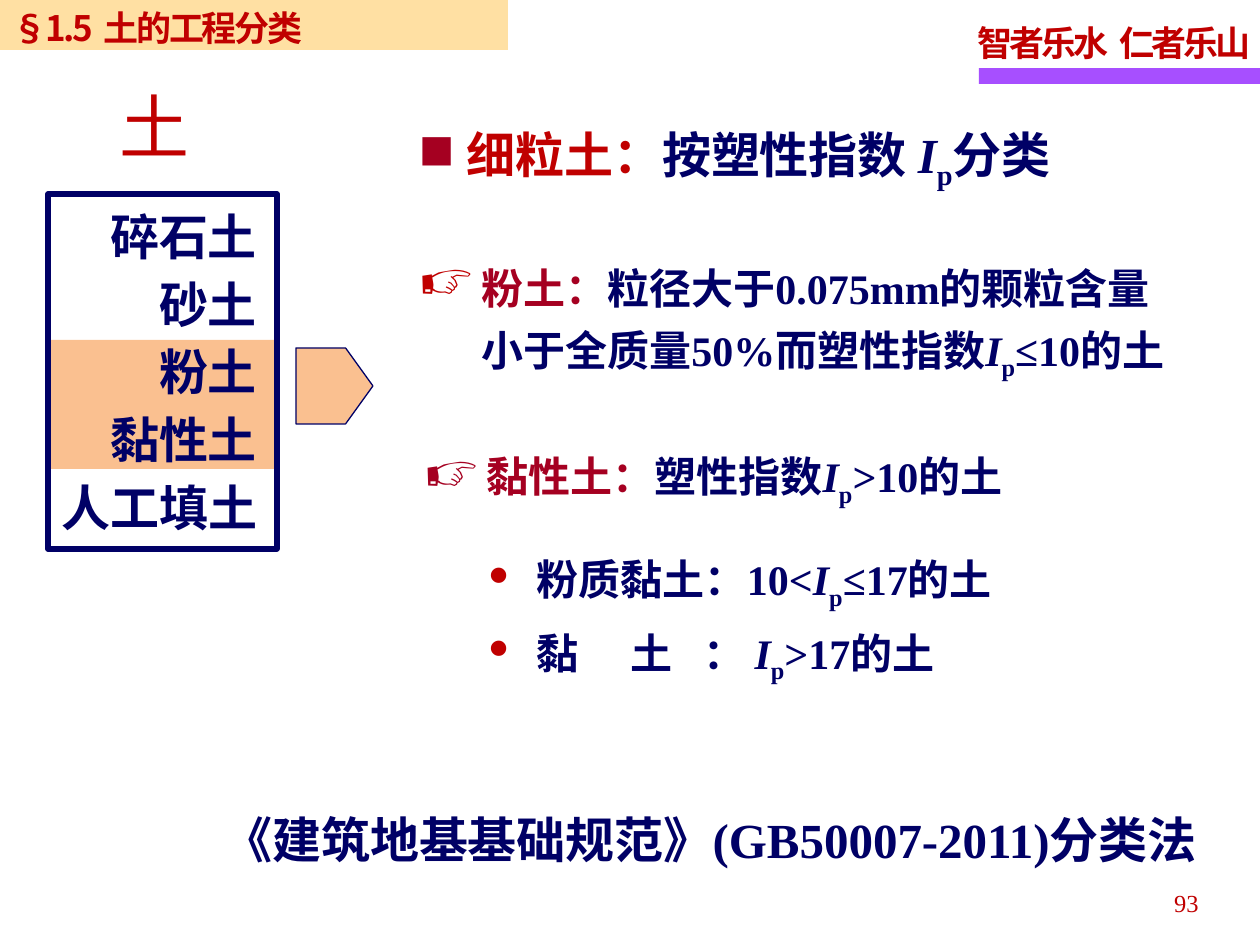
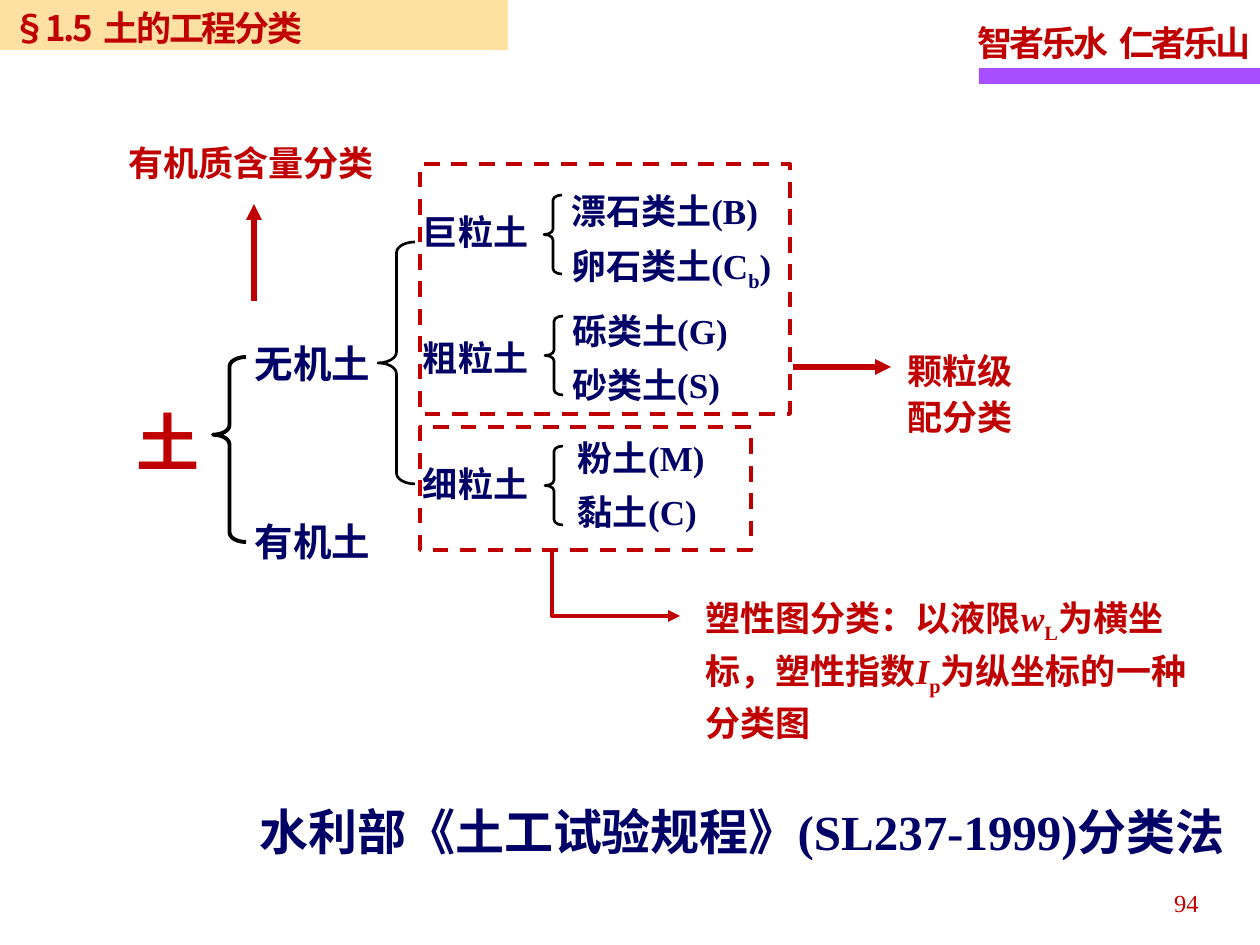
import pptx
import pptx.util
import pptx.dml.color
import pptx.enum.dml
import pptx.enum.shapes
import pptx.enum.text
import pptx.oxml
import pptx.oxml.ns

PX = pptx.util.Inches(1) / 126
RED, NAVY, CRIMSON = "C00000", "000066", "A50021"
PEACH, PURPLE, SAND, BLACK = "FAC090", "A74FFF", "FFCC66", "000000"
TIMES, NOTO, ARIAL = "Times New Roman", "Noto Sans CJK SC", "Arial"
SHAPES = pptx.enum.shapes.MSO_SHAPE
ALIGN = pptx.enum.text.PP_ALIGN

FIRST_PAGE = 93
INDEX_I = ("I", {"italic": True})
INDEX_P = ("p", {"baseline": -25000})

SECTION = [("§1.5", {"spc": -140}), (" ", {"spc": 170}),
           ("土的工程分类", {"spc": -140})]
MOTTO = [("智者乐水", {"spc": -170}), (" ", {"spc": 160}),
         ("仁者乐山", {"spc": -170})]

NATIONAL_CODE = {
    "caption": "《建筑地基基础规范》(GB50007-2011)分类法",
    "caption_at": (202, 803, 1016, 72),
    "soils": ["碎石土", "砂土", "粉土", "黏性土", "人工填土"],
    "fine": [("细粒土：", {"color": RED}), "按塑性指数 ", INDEX_I, INDEX_P, "分类"],
    "silt": [("粉土：", {"color": CRIMSON}),
             "粒径大于0.075mm的颗粒含量小于全质量50%而塑性指数",
             INDEX_I, INDEX_P, "≤10的土"],
    "clay": [("黏性土：", {"color": CRIMSON, "name": NOTO}), "塑性指数",
             INDEX_I, INDEX_P, ">10的土"],
    "clay_kinds": [
        ["粉质黏土：10<", INDEX_I, INDEX_P, "≤17的土"],
        [("黏 ", {"spc": 1200}), ("土 ", {"spc": 600}), "： ",
         INDEX_I, INDEX_P, ">17的土"],
    ],
}

WATER_CODE = {
    "caption": "水利部《土工试验规程》(SL237-1999)分类法",
    "caption_at": (241, 795, 1002, 72),
    "dashed": [(420, 427, 331, 123), (420, 164, 370, 250)],
    "origins": ["无机土", "有机土"],
    "grains": ["巨粒土", "粗粒土", "细粒土"],
    "kinds": [
        ((571, 181, 220, 106), ["漂石类土(B)",
                                ["卵石类土(C", ("b", {"baseline": -25000}), ")"]]),
        ((572, 301, 180, 106), ["砾类土(G)", "砂类土(S)"]),
        ((578, 428, 140, 106), ["粉土(M)", "黏土(C)"]),
    ],
    "braces": [((213, 357, 33, 185), 0.42, 2.25), ((378, 242, 37, 242), 0.5, 1.5),
               ((544, 195, 18, 79), 0.5, 1.5), ((545, 316, 18, 79), 0.5, 1.5),
               ((545, 446, 18, 79), 0.5, 1.5)],
    "arrows": [(254, 301, 254, 204), (793, 367, 891, 367)],
    "plasticity_path": [(552, 551), (552, 616), (680, 616)],
    "notes": [
        ((116, 131, 277, 59), ["有机质含量分类"]),
        ((895, 339, 146, 106), ["颗粒级配分类"]),
        ((693, 586, 508, 152),
         [["塑性图分类：以液限", ("w", {"italic": True}),
           ("L", {"baseline": -25000}), "为横坐标，塑性指数",
           INDEX_I, INDEX_P, "为纵坐标的一种分类图"]]),
    ],
}


def px(*lengths):
    return [round(length * PX) for length in lengths]


def rgb(value):
    return pptx.dml.color.RGBColor.from_string(value)


def append_xml(parent, tag, **attributes):
    child = pptx.oxml.parse_xml(f"<a:{tag} {pptx.oxml.ns.nsdecls('a')}/>")
    for key, value in attributes.items():
        child.set(key, str(value))
    parent.append(child)
    return child


def add_bullet(paragraph, char, indent, color, percent):
    props = paragraph._p.get_or_add_pPr()
    props.set("marL", str(px(indent)[0]))
    props.set("indent", str(px(-indent)[0]))
    append_xml(append_xml(props, "buClr"), "srgbClr", val=color)
    append_xml(props, "buSzPct", val=percent * 1000)
    append_xml(props, "buChar", char=char)


def style_run(run, color=None, name=None, italic=None, **attributes):
    if color:
        run.font.color.rgb = rgb(color)
    if name:
        run.font.name = name
    if italic:
        run.font.italic = True
    for key, value in attributes.items():
        run._r.get_or_add_rPr().set(key, str(value))


def write(frame, paragraphs, size, color=NAVY, font=TIMES, bold=True, spacing=None,
          gap=0, align=ALIGN.LEFT, bullet=None, inset=True, wrap=True):
    frame.word_wrap = wrap
    frame.auto_size = pptx.enum.text.MSO_AUTO_SIZE.NONE
    frame.vertical_anchor = pptx.enum.text.MSO_ANCHOR.TOP
    if not inset:
        frame.margin_left = frame.margin_right = 0
        frame.margin_top = frame.margin_bottom = 0
    for number, runs in enumerate(paragraphs):
        paragraph = frame.add_paragraph() if number else frame.paragraphs[0]
        if bullet:
            add_bullet(paragraph, *bullet)
        paragraph.alignment = align
        if spacing:
            paragraph.line_spacing = spacing
        if number:
            paragraph.space_before = pptx.util.Pt(gap)
        paragraph.font.size = pptx.util.Pt(size)
        paragraph.font.bold = bold
        paragraph.font.name = font
        paragraph.font.color.rgb = rgb(color)
        defaults = paragraph._p.pPr.find(pptx.oxml.ns.qn("a:defRPr"))
        append_xml(defaults, "ea", typeface=NOTO)
        for part in [runs] if isinstance(runs, str) else runs:
            text, style = (part, {}) if isinstance(part, str) else part
            run = paragraph.add_run()
            run.text = text
            style_run(run, **style)


def add_text(slide, at, paragraphs, size, **style):
    write(slide.shapes.add_textbox(*px(*at)).text_frame, paragraphs, size, **style)


def finish(shape, fill=None, line=None, width=1.0):
    shape.shadow.inherit = False
    if fill:
        shape.fill.solid()
        shape.fill.fore_color.rgb = rgb(fill)
    else:
        shape.fill.background()
    if line:
        shape.line.color.rgb = rgb(line)
        shape.line.width = pptx.util.Pt(width)
    else:
        shape.line.fill.background()
    return shape


def add_shape(slide, kind, at, adjust=(), **look):
    shape = slide.shapes.add_shape(kind, *px(*at))
    for number, value in enumerate(adjust):
        shape.adjustments[number] = value
    return finish(shape, **look)


def add_arrowhead(line):
    append_xml(line._get_or_add_ln(), "tailEnd", type="triangle")


def add_arrow(slide, ends):
    arrow = slide.shapes.add_connector(
        pptx.enum.shapes.MSO_CONNECTOR.STRAIGHT, *px(*ends))
    arrow.line.color.rgb = rgb(RED)
    arrow.line.width = pptx.util.Pt(3)
    add_arrowhead(arrow.line)
    append_xml(arrow._element.spPr, "effectLst")


def start_slide(deck, content):
    slide = deck.slides.add_slide(deck.slide_layouts[5])
    page = FIRST_PAGE + len(deck.slides) - 1
    add_shape(slide, SHAPES.RECTANGLE, (979, 68, 281, 16), fill=PURPLE)
    add_text(slide, (965, 9, 297, 62), [MOTTO], 20, color=RED, spacing=1.15, wrap=False)
    add_text(slide, (917, 877, 294, 50), [str(page)], 14, color=RED, bold=False,
             spacing=1.15, align=ALIGN.RIGHT)
    band = add_shape(slide, SHAPES.RECTANGLE, (0, 0, 508, 50), fill=SAND)
    tint = band._element.spPr.find(".//" + pptx.oxml.ns.qn("a:srgbClr"))
    append_xml(tint, "alpha", val=60000)
    write(band.text_frame, [SECTION], 20, color=RED, font=NOTO)
    title = slide.shapes.title
    title.left, title.top, title.width, title.height = px(*content["caption_at"])
    write(title.text_frame, [content["caption"]], 28, align=ALIGN.CENTER)
    return slide


def build_national(deck, content):
    slide = start_slide(deck, content)
    add_text(slide, (107, 77, 100, 97), ["土"], 40, color=RED, bold=False)
    add_shape(slide, SHAPES.RECTANGLE, (48, 340, 229, 129), fill=PEACH)
    add_shape(slide, SHAPES.RECTANGLE, (48, 194, 229, 355), line=NAVY, width=3)
    add_text(slide, (53, 198, 204, 341), content["soils"], 28, font=ARIAL,
             spacing=1.15, align=ALIGN.RIGHT, inset=False)
    add_shape(slide, SHAPES.PENTAGON, (296, 348, 77, 76), adjust=[0.36],
              fill=PEACH, line=NAVY, width=0.75)
    add_text(slide, (406, 105, 673, 84), [content["fine"]], 28, spacing=1.2,
             bullet=("■", 48, CRIMSON, 100))
    add_text(slide, (406, 246, 796, 135), [content["silt"]], 24, spacing=1.2,
             bullet=("☞", 63, RED, 130))
    add_text(slide, (388, 451, 650, 50), [content["clay"]], 24, align=ALIGN.CENTER,
             bullet=("☞", 63, CRIMSON, 130), inset=False)
    add_text(slide, (489, 548, 577, 122), content["clay_kinds"], 24, spacing=1.1,
             gap=6, bullet=("•", 48, RED, 140), inset=False)


def build_water(deck, content):
    slide = start_slide(deck, content)
    for at in content["dashed"]:
        box = add_shape(slide, SHAPES.RECTANGLE, at, line=RED, width=2.25)
        box.line.dash_style = pptx.enum.dml.MSO_LINE.DASH
    add_text(slide, (137, 388, 62, 92), ["土"], 36, color=RED, spacing=1.2, inset=False)
    add_text(slide, (255, 331, 134, 238), content["origins"], 22, spacing=1.2,
             gap=70, inset=False)
    add_text(slide, (423, 210, 155, 297), content["grains"], 20, gap=48, inset=False)
    for at, kinds in content["kinds"]:
        add_text(slide, at, kinds, 20, spacing=1.2, gap=2, inset=False)
    for at, tip, width in content["braces"]:
        add_shape(slide, SHAPES.LEFT_BRACE, at, adjust=[0.29, tip],
                  line=BLACK, width=width)
    for ends in content["arrows"]:
        add_arrow(slide, ends)
    start, *bends = content["plasticity_path"]
    outline = slide.shapes.build_freeform(*start, scale=PX)
    outline.add_line_segments(bends, close=False)
    path = finish(outline.convert_to_shape(), line=RED, width=2.25)
    add_arrowhead(path.line)
    for at, note in content["notes"]:
        add_text(slide, at, note, 20, color=RED, spacing=1.1)


def main():
    deck = pptx.Presentation()
    deck.slide_width, deck.slide_height = px(1260, 945)
    build_national(deck, NATIONAL_CODE)
    build_water(deck, WATER_CODE)
    deck.save("out.pptx")


if __name__ == "__main__":
    main()
